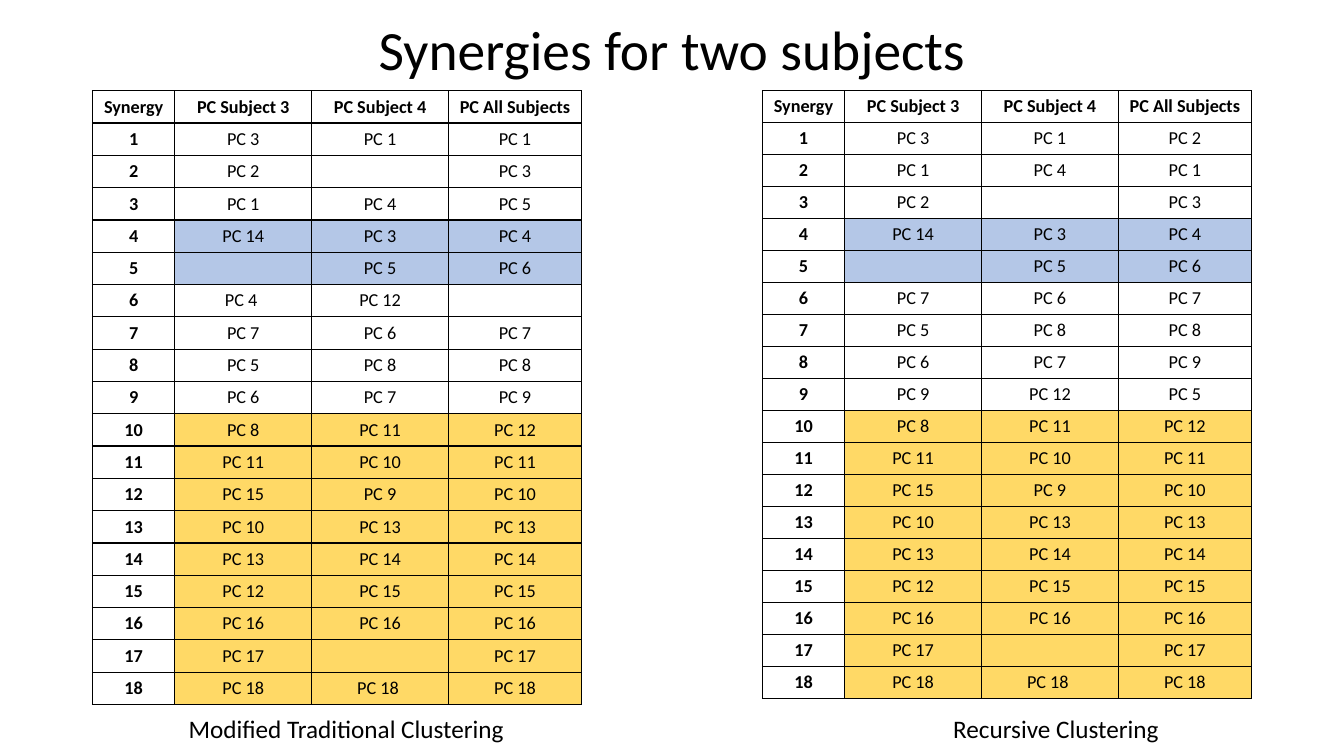
from lxml.etree import SubElement
from pptx import Presentation
from pptx.dml.color import RGBColor as RGB
from pptx.enum.text import MSO_ANCHOR as Anchor, PP_ALIGN as Align
from pptx.oxml.ns import qn
from pptx.util import Pt

TITLE = "Synergies for two subjects"
HEADER = ("Synergy", "PC Subject 3", "PC Subject 4", "PC All Subjects")
BLUE_ROWS = [("PC 14", "PC 3", "PC 4"), ("", "PC 5", "PC 6")]
GOLD_ROWS = [
    ("PC 8", "PC 11", "PC 12"),
    ("PC 11", "PC 10", "PC 11"),
    ("PC 15", "PC 9", "PC 10"),
    ("PC 10", "PC 13", "PC 13"),
    ("PC 13", "PC 14", "PC 14"),
    ("PC 12", "PC 15", "PC 15"),
    ("PC 16", "PC 16", "PC 16"),
    ("PC 17", "", "PC 17"),
    ("PC 18", "PC 18 ", "PC 18"),
]
CLUSTERINGS = [
    dict(
        caption="Modified Traditional Clustering", left=66.1, row_height=23.08,
        caption_left=119.5, caption_width=255.6,
        first=[("PC 3", "PC 1", "PC 1"), ("PC 2", "", "PC 3"),
               ("PC 1", "PC 4", "PC 5")],
        middle=[("PC 4 ", "PC 12", ""), ("PC 7", "PC 6", "PC 7"),
                ("PC 5", "PC 8", "PC 8"), ("PC 6", "PC 7", "PC 9")],
    ),
    dict(
        caption="Recursive Clustering", left=544.6, row_height=22.86,
        caption_left=668.2, caption_width=172.1,
        first=[("PC 3", "PC 1", "PC 2"), ("PC 1", "PC 4", "PC 1"),
               ("PC 2", "", "PC 3")],
        middle=[("PC 7", "PC 6", "PC 7"), ("PC 5", "PC 8", "PC 8"),
                ("PC 6", "PC 7", "PC 9"), ("PC 9", "PC 12", "PC 5")],
    ),
]
THEME = dict(font="Calibri", ink="000000", white="FFFFFF", blue="B4C7E7",
             gold="FFD966", title=39.6, caption=18, cell=13)
COL_WIDTHS = (58.75, 97.75, 97.75, 95)
TABLE_TOP = 64.8
CAPTION_TOP, CAPTION_HEIGHT = 506.2, 28.8


def write(tf, text, size, bold=False, spacing=None):
    p = tf.paragraphs[0]
    p.alignment = Align.CENTER
    if spacing:
        p.line_spacing = spacing
    if text:
        r = p.add_run()
        r.text = text
        r.font.name = THEME["font"]
        r.font.size = Pt(size)
        r.font.bold = bold
        r.font.color.rgb = RGB.from_string(THEME["ink"])


def add_text(slide, box, text, **fmt):
    tf = slide.shapes.add_textbox(*map(Pt, box)).text_frame
    tf.word_wrap = True
    tf.vertical_anchor = Anchor.MIDDLE
    write(tf, text, **fmt)


def style_cell(cell, fill):
    cell.vertical_anchor = Anchor.MIDDLE
    cell.margin_top = cell.margin_bottom = 0
    cell.margin_left = cell.margin_right = Pt(3.6)
    tcPr = cell._tc.get_or_add_tcPr()
    for side in ("a:lnL", "a:lnR", "a:lnT", "a:lnB"):
        ln = SubElement(tcPr, qn(side), w=str(Pt(1)))
        SubElement(SubElement(ln, qn("a:solidFill")), qn("a:srgbClr"), val=THEME["ink"])
    cell.fill.solid()
    cell.fill.fore_color.rgb = RGB.from_string(fill)


def add_synergy_table(slide, clustering):
    bands = [("white", clustering["first"]), ("blue", BLUE_ROWS),
             ("white", clustering["middle"]), ("gold", GOLD_ROWS)]
    synergies = [(color, row) for color, rows in bands for row in rows]
    grid = [("white", HEADER)] + [
        (color, (str(n), *row)) for n, (color, row) in enumerate(synergies, 1)]
    height = clustering["row_height"]
    box = (clustering["left"], TABLE_TOP, sum(COL_WIDTHS), height * len(grid))
    table = slide.shapes.add_table(len(grid), len(HEADER), *map(Pt, box)).table
    table.first_row = table.horz_banding = False
    for column, width in zip(table.columns, COL_WIDTHS):
        column.width = Pt(width)
    for i, (color, row) in enumerate(grid):
        table.rows[i].height = Pt(height)
        for j, text in enumerate(row):
            cell = table.cell(i, j)
            style_cell(cell, THEME[color if j else "white"])
            write(cell.text_frame, text, size=THEME["cell"], bold=i == 0 or j == 0)


def main():
    prs = Presentation()
    prs.slide_width, prs.slide_height = Pt(960), Pt(540)
    slide = prs.slides.add_slide(prs.slide_layouts[6])
    add_text(slide, (66, 18.7, 828, 38.2), TITLE, size=THEME["title"], spacing=0.9)
    for clustering in CLUSTERINGS:
        add_synergy_table(slide, clustering)
        box = (clustering["caption_left"], CAPTION_TOP,
               clustering["caption_width"], CAPTION_HEIGHT)
        add_text(slide, box, clustering["caption"], size=THEME["caption"])
    prs.save("out.pptx")


if __name__ == "__main__":
    main()
